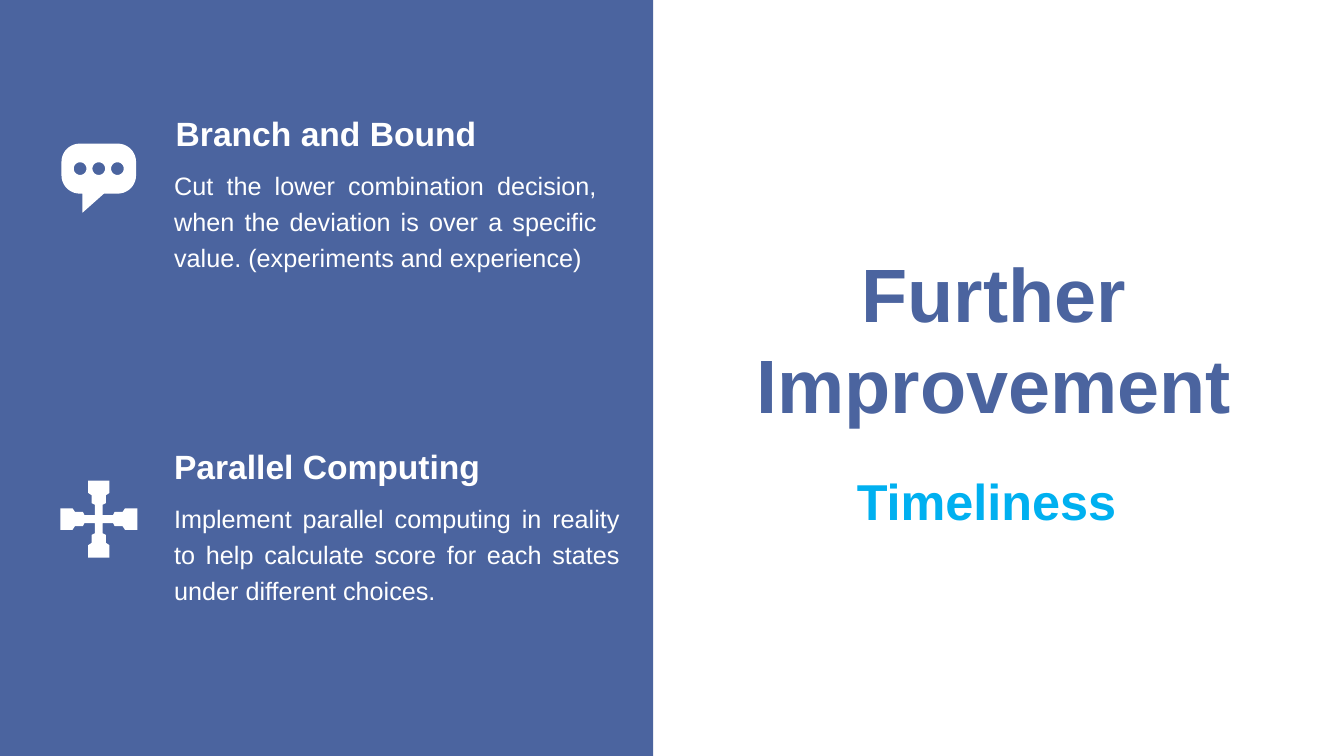
import math

import pptx
import pptx.dml.color
import pptx.enum.shapes
import pptx.enum.text
import pptx.util

Cm = pptx.util.Cm
ALIGN = pptx.enum.text.PP_ALIGN
BLUE, CYAN, WHITE = "4B649F", "00B0F0", "FFFFFF"
SLIDE_SIZE = (33.87, 19.05)
PANEL_WIDTH = 16.46

HEADING = dict(size=24, color=WHITE, bold=True, wrap=False)
BODY = dict(size=18, color=WHITE, align=ALIGN.JUSTIFY, spacing=1.2)
TEXTS = [
    ("Further Improvement", (17.12, 6.1, 15.85, 4.88),
     dict(size=54, color=BLUE, bold=True)),
    ("Timeliness", (16.94, 10.97, 15.85, 2.29),
     dict(size=36, color=CYAN, bold=True, spacing=1.5)),
    ("Branch and Bound", (4.14, 2.72, 8.15, 1.27), HEADING),
    ("Cut the lower combination decision, when the deviation is over a specific "
     "value. (experiments and experience)", (4.14, 4.01, 11.15, 2.95), BODY),
    ("Parallel Computing", (4.09, 11.1, 8.31, 1.27), HEADING),
    ("Implement parallel computing in reality to help calculate score for each "
     "states under different choices.", (4.14, 12.4, 11.73, 2.95), BODY),
]

BUBBLE_CENTER = (2.49, 4.25)
BUBBLE_HALF_WIDTH, BUBBLE_HALF_HEIGHT, BUBBLE_RADIUS = 0.94, 0.63, 0.46
BUBBLE_TAIL = [(0.13, 0.63), (-0.41, 1.11), (-0.41, 0.63)]
DOT_RADIUS, DOT_PITCH = 0.16, 0.47

CROSS_CENTER = (2.49, 13.08)
CROSS_HALF_ARM = [(-0.1, -0.1), (-0.1, -0.36), (-0.18, -0.4),
                  (-0.18, -0.6), (-0.27, -0.66), (-0.27, -0.97)]


def rgb(color):
    return pptx.dml.color.RGBColor.from_string(color)


def paint(shape, color):
    shape.shadow.inherit = False
    shape.fill.solid()
    shape.fill.fore_color.rgb = rgb(color)
    shape.line.fill.background()


def add_text(slide, text, box, size, color, bold=False, wrap=True,
             align=ALIGN.CENTER, spacing=None):
    text_frame = slide.shapes.add_textbox(*map(Cm, box)).text_frame
    text_frame.word_wrap = wrap
    text_frame.auto_size = pptx.enum.text.MSO_AUTO_SIZE.SHAPE_TO_FIT_TEXT
    text_frame.text = text
    paragraph = text_frame.paragraphs[0]
    paragraph.alignment = align
    paragraph.line_spacing = spacing
    font = paragraph.runs[0].font
    font.name = "Arial"
    font.size = pptx.util.Pt(size)
    font.bold = bold
    font.color.rgb = rgb(color)


def arc(x, y, radius, start, sweep, steps):
    angles = [math.radians(start + sweep * i / steps) for i in range(steps + 1)]
    return [(x + radius * math.cos(a), y + radius * math.sin(a)) for a in angles]


def bubble_outlines():
    x = BUBBLE_HALF_WIDTH - BUBBLE_RADIUS
    y = BUBBLE_HALF_HEIGHT - BUBBLE_RADIUS
    corners = [arc(cx, cy, BUBBLE_RADIUS, start, 90, 10) for cx, cy, start in
               [(x, -y, -90), (x, y, 0), (-x, y, 90), (-x, -y, 180)]]
    body = corners[0] + corners[1] + BUBBLE_TAIL + corners[2] + corners[3]
    dots = [arc(i * DOT_PITCH, 0, DOT_RADIUS, 0, -360, 32) for i in (-1, 0, 1)]
    return [body] + dots


def cross_outlines():
    arm = CROSS_HALF_ARM + [(-x, y) for x, y in reversed(CROSS_HALF_ARM)]
    outline = []
    for _ in range(4):
        outline += arm
        arm = [(-y, x) for x, y in arm]
    return [outline]


def add_icon(slide, center, outlines):
    placed = [[(Cm(center[0] + x), Cm(center[1] + y)) for x, y in outline]
              for outline in outlines]
    builder = slide.shapes.build_freeform(*placed[0][0])
    for index, outline in enumerate(placed):
        if index:
            builder.move_to(*outline[0])
        builder.add_line_segments(outline[1:], close=True)
    paint(builder.convert_to_shape(), WHITE)


def main():
    presentation = pptx.Presentation()
    presentation.slide_width, presentation.slide_height = map(Cm, SLIDE_SIZE)
    slide = presentation.slides.add_slide(presentation.slide_layouts[6])
    panel = slide.shapes.add_shape(pptx.enum.shapes.MSO_SHAPE.RECTANGLE, 0, 0,
                                   Cm(PANEL_WIDTH), Cm(SLIDE_SIZE[1]))
    paint(panel, BLUE)
    for text, box, style in TEXTS:
        add_text(slide, text, box, **style)
    add_icon(slide, BUBBLE_CENTER, bubble_outlines())
    add_icon(slide, CROSS_CENTER, cross_outlines())
    presentation.save("out.pptx")


if __name__ == "__main__":
    main()
